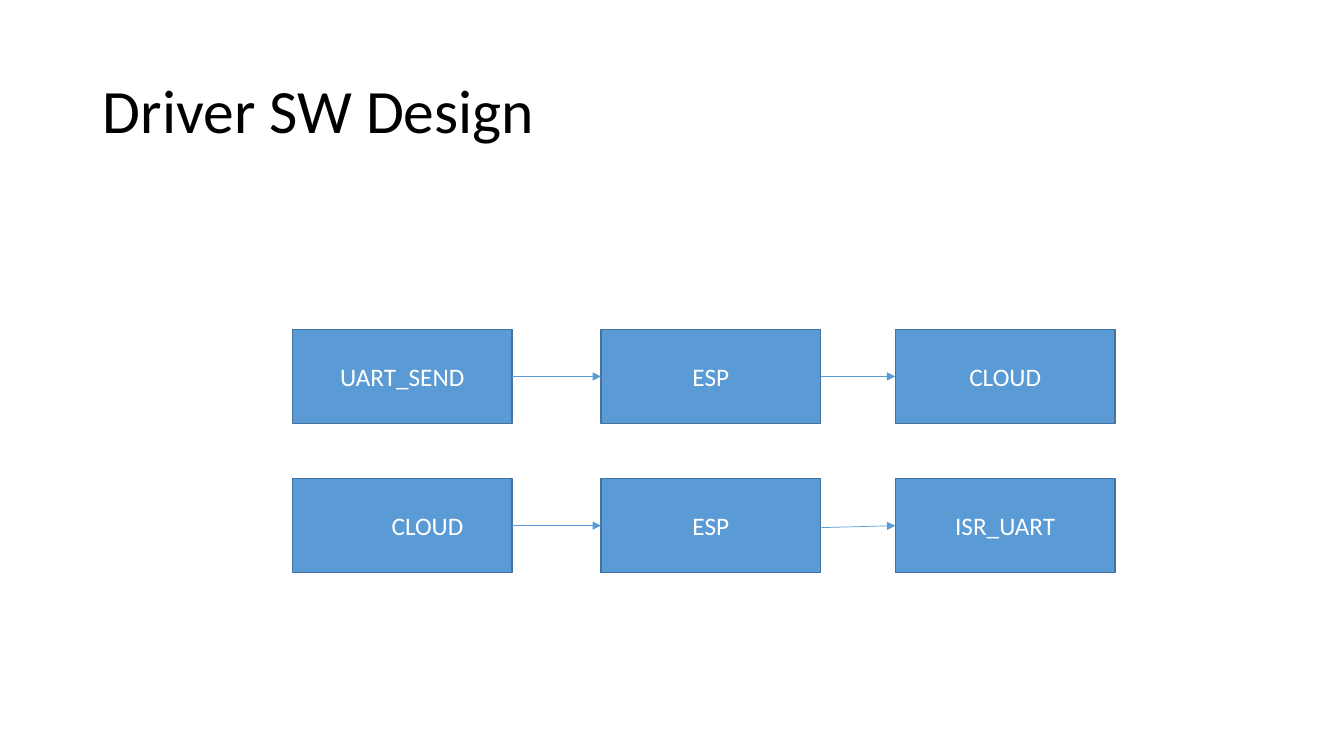
import pptx
import pptx.util
import pptx.dml.color
import pptx.enum.shapes
import pptx.enum.text
import pptx.oxml.ns
import lxml.etree

Inches, Pt = pptx.util.Inches, pptx.util.Pt

# Content
TITLE = "Driver SW Design"
FLOWS = [
    ["UART_SEND", "ESP", "CLOUD"],
    ["CLOUD", "ESP", "ISR_UART"],
]
TEXT_INDENTS = {(1, 0): 0.5}  # (flow, step): inches
ARROW_DROPS = {(1, 2): 0.02}  # start lies this far below the middle

# Layout and style
STEP_LEFTS = [2.9, 5.96, 8.88]
FLOW_TOP, FLOW_PITCH = 3.27, 1.48
STEP_WIDTH, STEP_HEIGHT = 2.18, 0.93
FONT = "Calibri"
COLORS = {"title": "000000", "step": "5B9BD5", "border": "43739E", "label": "FFFFFF"}


def color(name):
    return pptx.dml.color.RGBColor.from_string(COLORS[name])


def style_text(paragraph, size, color_name, alignment):
    paragraph.alignment = alignment
    paragraph.font.name = FONT
    paragraph.font.size = Pt(size)
    paragraph.font.color.rgb = color(color_name)


def add_step(slide, label, left, top, indent):
    step = slide.shapes.add_shape(
        pptx.enum.shapes.MSO_SHAPE.RECTANGLE,
        Inches(left), Inches(top), Inches(STEP_WIDTH), Inches(STEP_HEIGHT))
    step.shadow.inherit = False
    step.fill.solid()
    step.fill.fore_color.rgb = color("step")
    step.line.color.rgb = color("border")
    step.line.width = Pt(1)
    step.text_frame.text = label
    step.text_frame.vertical_anchor = pptx.enum.text.MSO_ANCHOR.MIDDLE
    paragraph = step.text_frame.paragraphs[0]
    style_text(paragraph, 18, "label", pptx.enum.text.PP_ALIGN.CENTER)
    if indent:
        paragraph.level = 1
        paragraph._p.get_or_add_pPr().set("marL", str(Inches(indent)))
    return step


def add_arrow(slide, source, target, drop):
    start_x = source.left + source.width
    start_y = source.top + source.height // 2 + Inches(drop)
    arrow = slide.shapes.add_connector(
        pptx.enum.shapes.MSO_CONNECTOR.STRAIGHT,
        start_x, start_y, target.left, target.top + target.height // 2)
    if not drop:
        arrow.begin_connect(source, 3)
    arrow.end_connect(target, 1)
    arrow.line.color.rgb = color("step")
    arrow.line.width = Pt(0.5)
    qn = pptx.oxml.ns.qn
    lxml.etree.SubElement(arrow.line._get_or_add_ln(), qn("a:tailEnd"), type="triangle")
    lxml.etree.SubElement(arrow._element.spPr, qn("a:effectLst"))


def main():
    deck = pptx.Presentation()
    deck.slide_width, deck.slide_height = Inches(13.33), Inches(7.5)
    slide = deck.slides.add_slide(deck.slide_layouts[5])

    # Title
    title = slide.shapes.title
    title.left, title.top = Inches(0.92), Inches(0.4)
    title.width, title.height = Inches(11.5), Inches(1.45)
    title.text_frame.text = TITLE
    title.text_frame.vertical_anchor = pptx.enum.text.MSO_ANCHOR.MIDDLE
    heading = title.text_frame.paragraphs[0]
    heading.line_spacing = 0.9
    style_text(heading, 44, "title", pptx.enum.text.PP_ALIGN.LEFT)

    # Flows of steps, joined by arrows
    for row, labels in enumerate(FLOWS):
        top = FLOW_TOP + row * FLOW_PITCH
        steps = [add_step(slide, label, left, top, TEXT_INDENTS.get((row, column), 0))
                 for column, (label, left) in enumerate(zip(labels, STEP_LEFTS))]
        for column in range(1, len(steps)):
            add_arrow(slide, steps[column - 1], steps[column],
                      ARROW_DROPS.get((row, column), 0))

    deck.save("out.pptx")


if __name__ == "__main__":
    main()
